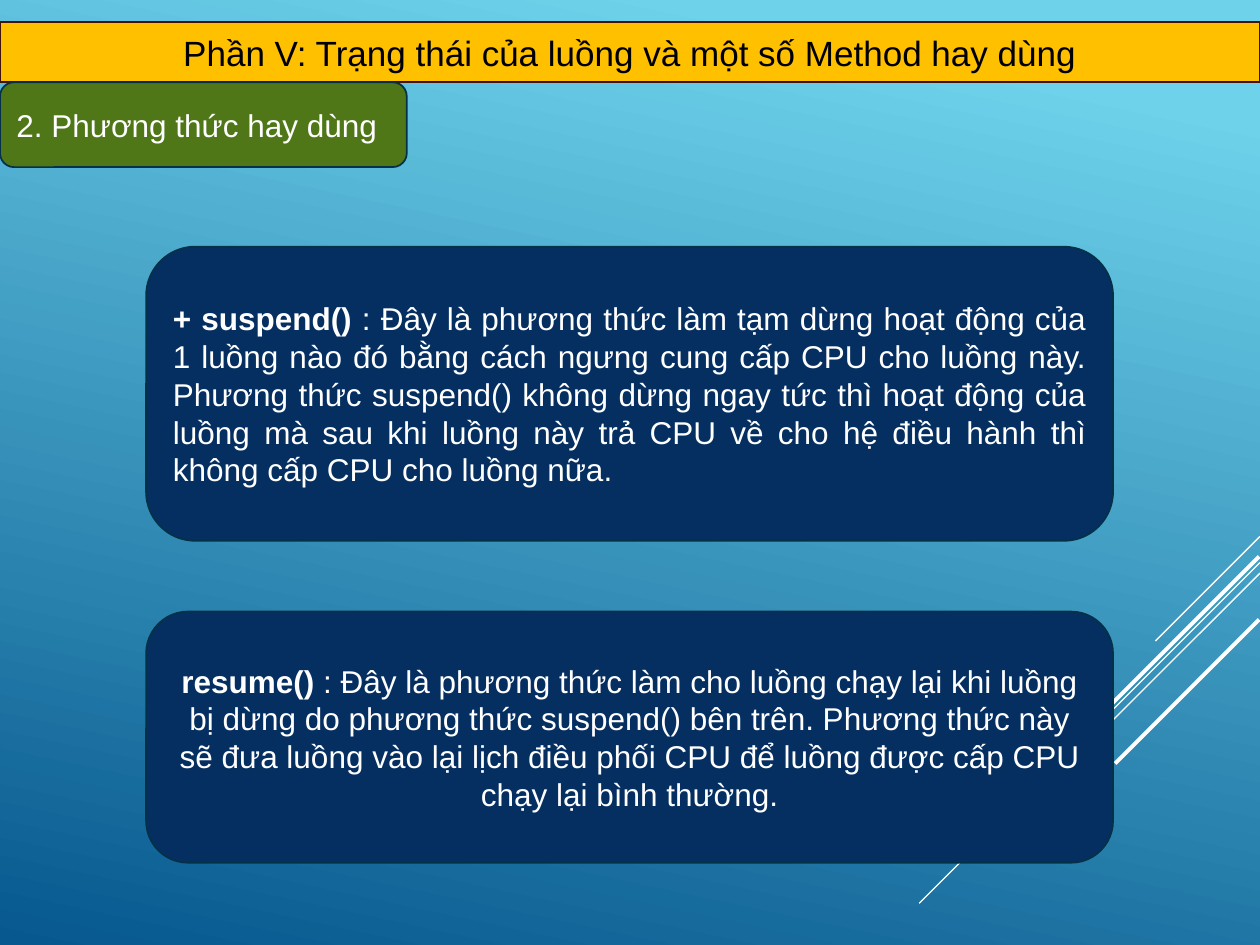
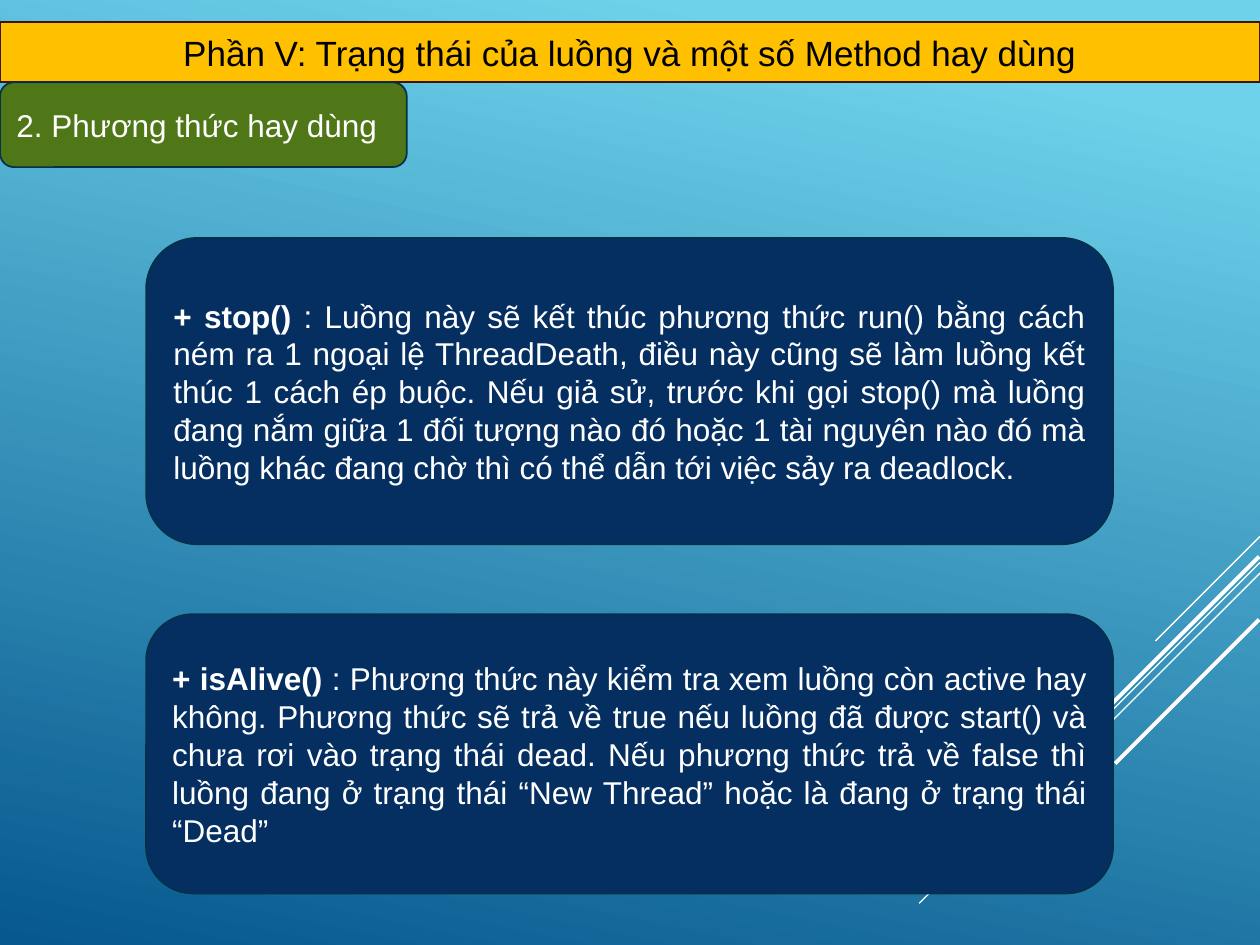
from typing import NamedTuple

from lxml.etree import SubElement
from pptx import Presentation
from pptx.dml.color import RGBColor
from pptx.enum.shapes import MSO_CONNECTOR, MSO_SHAPE
from pptx.enum.text import MSO_ANCHOR, MSO_AUTO_SIZE, PP_ALIGN
from pptx.oxml.ns import qn
from pptx.util import Pt

FONT = "Arial"
WHITE = "FFFFFF"
BLACK = "000000"
SKY = "6ED2EB"
OCEAN = "06588E"
AMBER = "FFC000"
AMBER_EDGE = "401408"
GREEN = "4F7717"
NAVY = "052F61"
DARK_EDGE = "043148"

SLIDE_WIDTH, SLIDE_HEIGHT = 720, 540
PANEL_LEFT, PANEL_WIDTH = 83.5, 552.5
TITLE = "Phần V: Trạng thái của luồng và một số Method hay dùng"
SECTION = "2. Phương thức hay dùng"


class Box(NamedTuple):
    left: float
    top: float
    width: float
    height: float


class Ray(NamedTuple):
    right: float
    top: float
    reach: float
    weight: float


class MethodPanel(NamedTuple):
    top: float
    height: float
    method: str
    description: str
    alignment: PP_ALIGN = PP_ALIGN.JUSTIFY


TITLE_BOX = Box(0, 12.5, SLIDE_WIDTH, 34.5)
SECTION_BOX = Box(0, 47, 232.5, 48.5)

RAYS = [
    Ray(720, 306.5, 59.8, 0.75),
    Ray(720, 321.5, 194.7, 0.75),
    Ray(720, 327.5, 124, 0.75),
    Ray(719.5, 318, 113.2, 2.25),
    Ray(719.5, 354, 82.3, 2.25),
]

SLIDES = [
    [
        MethodPanel(
            141, 168, "+ suspend()",
            "Đây là phương thức làm tạm dừng hoạt động của 1 luồng nào đó "
            "bằng cách ngưng cung cấp CPU cho luồng này. Phương thức suspend() "
            "không dừng ngay tức thì hoạt động của luồng mà sau khi luồng này "
            "trả CPU về cho hệ điều hành thì không cấp CPU cho luồng nữa.",
        ),
        MethodPanel(
            349.5, 143.5, "resume()",
            "Đây là phương thức làm cho luồng chạy lại khi luồng bị dừng do "
            "phương thức suspend() bên trên. Phương thức này sẽ đưa luồng vào "
            "lại lịch điều phối CPU để luồng được cấp CPU chạy lại bình thường.",
            PP_ALIGN.CENTER,
        ),
    ],
    [
        MethodPanel(
            136, 175, "+ stop()",
            "Luồng này sẽ kết thúc phương thức run() bằng cách ném ra 1 ngoại "
            "lệ ThreadDeath, điều này cũng sẽ làm luồng kết thúc 1 cách ép buộc. "
            "Nếu giả sử, trước khi gọi stop() mà luồng đang nắm giữa 1 đối tượng "
            "nào đó hoặc 1 tài nguyên nào đó mà luồng khác đang chờ thì có thể "
            "dẫn tới việc sảy ra deadlock.",
        ),
        MethodPanel(
            351, 159.5, "+ isAlive()",
            "Phương thức này kiểm tra xem luồng còn active hay không. Phương "
            "thức sẽ trả về true nếu luồng đã được start() và chưa rơi vào trạng "
            "thái dead. Nếu phương thức trả về false thì luồng đang ở trạng thái "
            "“New Thread” hoặc là đang ở trạng thái “Dead”",
        ),
    ],
]


def rgb(color: str) -> RGBColor:
    return RGBColor.from_string(color)


def write_text(shape, text: str, *, lead: str = "", size: float = 18,
               color: str = WHITE, alignment: PP_ALIGN = PP_ALIGN.LEFT) -> None:
    frame = shape.text_frame
    frame.word_wrap = True
    frame.auto_size = MSO_AUTO_SIZE.NONE
    frame.vertical_anchor = MSO_ANCHOR.MIDDLE
    paragraph = frame.paragraphs[0]
    paragraph.alignment = alignment
    for content, bold in ((lead, True), (text, False)):
        if content:
            run = paragraph.add_run()
            run.text = content
            run.font.name = FONT
            run.font.size = Pt(size)
            run.font.bold = bold
            run.font.color.rgb = rgb(color)


def paint(shape, fill: str, edge: str) -> None:
    shape.fill.solid()
    shape.fill.fore_color.rgb = rgb(fill)
    shape.line.color.rgb = rgb(edge)
    shape.line.width = Pt(1)


def add_rounded_box(slide, box: Box, fill: str):
    shape = slide.shapes.add_shape(MSO_SHAPE.ROUNDED_RECTANGLE, *map(Pt, box))
    shape.shadow.inherit = False
    paint(shape, fill, DARK_EDGE)
    return shape


def add_ray(slide, ray: Ray) -> None:
    connector = slide.shapes.add_connector(
        MSO_CONNECTOR.STRAIGHT, Pt(ray.right), Pt(ray.top),
        Pt(ray.right - ray.reach), Pt(ray.top + ray.reach),
    )
    connector.line.color.rgb = rgb(WHITE)
    connector.line.width = Pt(ray.weight)
    SubElement(connector._element.spPr, qn("a:effectLst"))


def place_title(slide) -> None:
    title = slide.shapes.title
    title.left, title.top, title.width, title.height = map(Pt, TITLE_BOX)
    paint(title, AMBER, AMBER_EDGE)
    write_text(title, TITLE, size=20, color=BLACK, alignment=PP_ALIGN.CENTER)


def add_method_panel(slide, panel: MethodPanel) -> None:
    box = Box(PANEL_LEFT, panel.top, PANEL_WIDTH, panel.height)
    shape = add_rounded_box(slide, box, NAVY)
    write_text(shape, f" : {panel.description}", lead=panel.method,
               alignment=panel.alignment)


def set_background(master) -> None:
    fill = master.background.fill
    fill.gradient()
    fill.gradient_angle = 360 - 102
    for stop, color, position in zip(fill.gradient_stops, (SKY, OCEAN), (0.1, 1)):
        stop.color.rgb = rgb(color)
        stop.position = position


def build_slide(presentation, panels: list[MethodPanel]) -> None:
    slide = presentation.slides.add_slide(presentation.slide_layouts[5])
    for ray in RAYS:
        add_ray(slide, ray)
    place_title(slide)
    write_text(add_rounded_box(slide, SECTION_BOX, GREEN), SECTION)
    for panel in panels:
        add_method_panel(slide, panel)


def main() -> None:
    presentation = Presentation()
    presentation.slide_width = Pt(SLIDE_WIDTH)
    presentation.slide_height = Pt(SLIDE_HEIGHT)
    set_background(presentation.slide_master)
    for panels in SLIDES:
        build_slide(presentation, panels)
    presentation.save("out.pptx")


if __name__ == "__main__":
    main()
